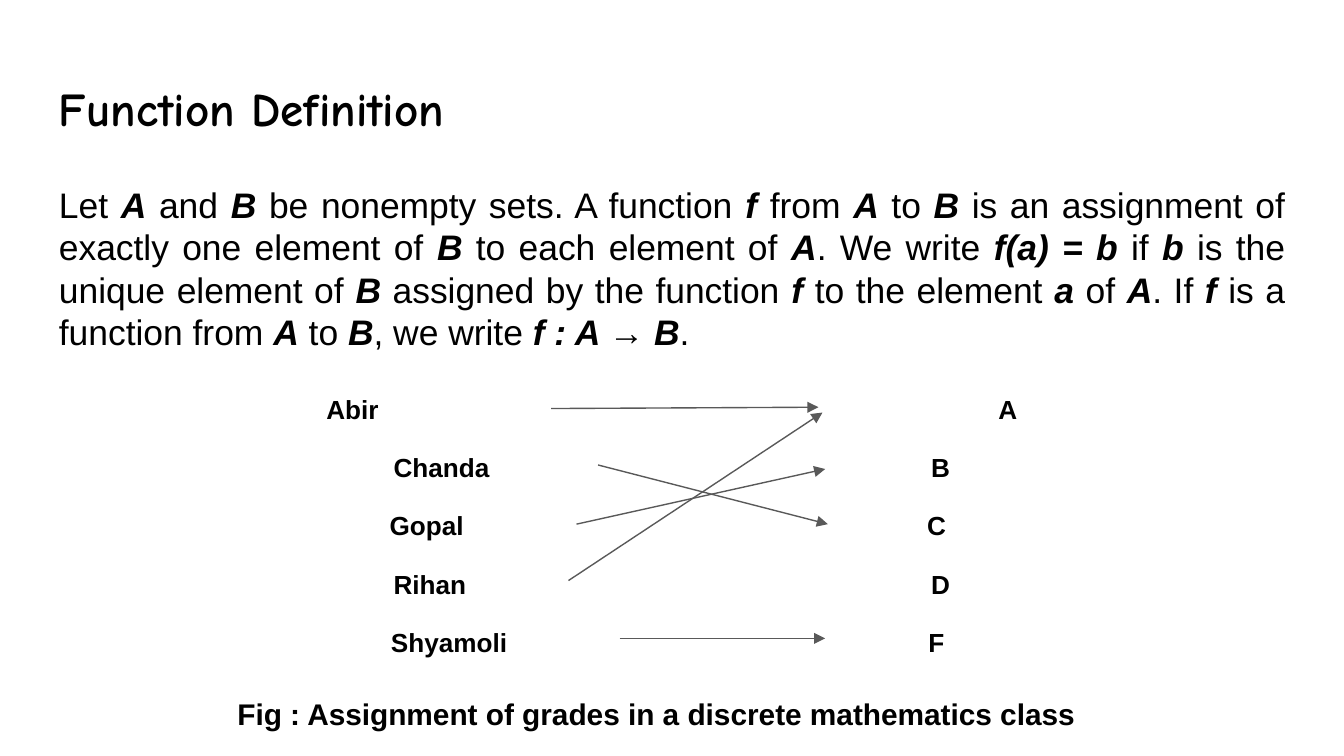
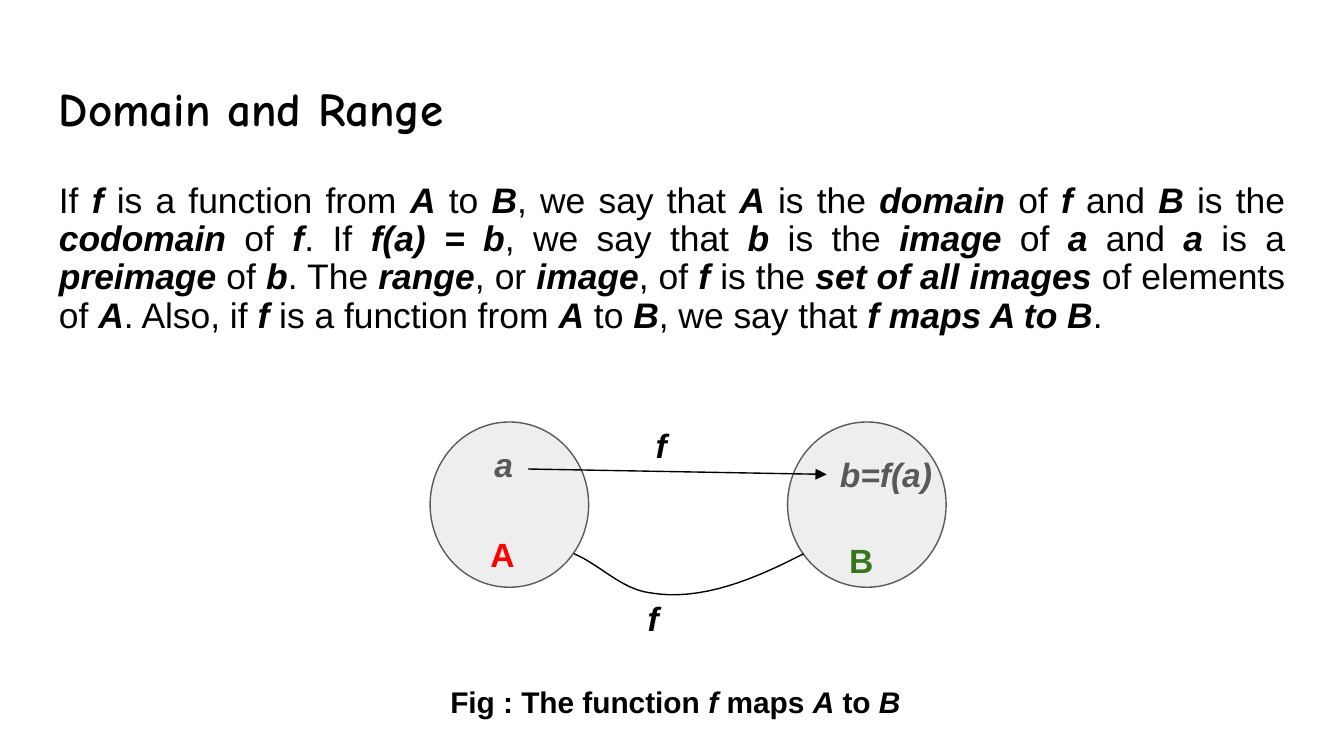
from pptx import Presentation
from pptx.dml.color import RGBColor
from pptx.enum.shapes import MSO_CONNECTOR as CONN, MSO_SHAPE as SHAPE
from pptx.enum.text import PP_ALIGN as ALIGN
from pptx.oxml.ns import qn
from pptx.util import Pt
from lxml.etree import SubElement

PX = 9144
BLACK = RGBColor(0x00, 0x00, 0x00)
GREY = RGBColor(0x59, 0x59, 0x59)
PALE = RGBColor(0xEE, 0xEE, 0xEE)
RED = RGBColor(0xFF, 0x00, 0x00)
GREEN = RGBColor(0x38, 0x76, 0x1D)
BODY_FONT, TITLE_FONT = "Arial", "Comic Neue"
TITLE_BOX = (34, 49, 932, 63)
BODY_BOX = (34, 126, 932, 416)

DEFINITION = (
    "Let *A* and *B* be nonempty sets. A function *f* from *A* to *B* is an assignment of "
    "exactly one element of *B* to each element of *A*. We write *f(a) = b* if *b* is the "
    "unique element of *B* assigned by the function *f *to the element *a* of *A*. If *f* is a "
    "function from *A* to *B*, we write *f : A → B*."
)
DOMAIN = (
    "If *f* is a function from *A* to *B*, we say that *A* is the *domain* of *f* and *B* is the "
    "*codomain* of* f*. If *f(a) = b*, we say that *b* is the *image* of *a* and *a* is a "
    "*preimage* of *b*. The *range*, or *image*, of *f* is the *set of all images* of elements "
    "of *A*. Also, if *f* is a function from *A* to *B*, we say that *f maps A to B*."
)
GRADES = [
    ("Abir", "A", 32, 532),
    ("Chanda", "B", 82, 482),
    ("Gopal", "C", 79, 479),
    ("Rihan", "D", 82, 482),
    ("Shyamoli", "F", 80, 480),
]
GRADE_ARROWS = [
    (209, 25, 408, 24),
    (260, 196, 413, 196),
    (222, 153, 411, 28),
    (244, 67, 415, 111),
    (228, 111, 413, 70),
]


def emu(*lengths):
    """Turn px lengths into EMU."""
    return [n * PX for n in lengths]


def add_run(p, text, size, color=BLACK, bold=False, italic=False, font=BODY_FONT):
    """Append one formatted run."""
    r = p.add_run()
    r.text = text
    f = r.font
    f.name, f.size, f.bold, f.italic = font, Pt(size), bold, italic
    f.color.rgb = color


def add_marked(p, text, size, bold=False):
    """Append runs, with the parts between asterisks in bold italic."""
    for i, part in enumerate(text.split("*")):
        if part:
            marked = i % 2 == 1
            add_run(p, part, size, bold=bold or marked, italic=marked)


def add_box(s, box, wrap=True):
    """Add an empty text box and return its text frame."""
    tf = s.shapes.add_textbox(*emu(*box)).text_frame
    tf.word_wrap = wrap
    tf.margin_left = tf.margin_right = tf.margin_top = tf.margin_bottom = 10 * PX
    return tf


def add_arrow(s, x1, y1, x2, y2, color):
    """Draw a straight arrow."""
    line = s.shapes.add_connector(CONN.STRAIGHT, *emu(x1, y1, x2, y2))
    line.line.color.rgb, line.line.width = color, Pt(0.75)
    SubElement(line.line._get_or_add_ln(), qn("a:tailEnd"), type="triangle")
    SubElement(line._element.spPr, qn("a:effectLst"))


def add_base(prs, title, body, spacing):
    """Start a slide with its title and justified body."""
    s = prs.slides.add_slide(prs.slide_layouts[6])
    add_run(add_box(s, TITLE_BOX).paragraphs[0], title, 25.2, bold=True, font=TITLE_FONT)
    p = add_box(s, BODY_BOX).paragraphs[0]
    p.alignment, p.line_spacing = ALIGN.JUSTIFY, spacing
    add_marked(p, body, 19)
    return s


def add_caption(s, box, text):
    """Add a centred figure caption."""
    p = add_box(s, box).paragraphs[0]
    p.alignment = ALIGN.CENTER
    add_marked(p, text, 16, bold=True)


def add_grades(s, box):
    """Pair each student with a grade on tab stops and draw the arrows."""
    x, y = box[:2]
    tf = add_box(s, box)
    for i, (name, grade, *stops) in enumerate(GRADES):
        p = tf.add_paragraph() if i else tf.paragraphs[0]
        p.line_spacing, p.space_before = 1.15, Pt(12)
        tabs = SubElement(p._p.get_or_add_pPr(), qn("a:tabLst"))
        for stop in stops:
            SubElement(tabs, qn("a:tab"), pos=str(stop * PX), algn="l")
        add_run(p, f"\t{name}\t{grade}", 14, bold=True)
    for x1, y1, x2, y2 in GRADE_ARROWS:
        add_arrow(s, x + x1, y + y1, x + x2, y + y2, GREY)


def bezier(a, b, c, d, steps=16):
    """List the points of a cubic curve after its start."""
    points = []
    for k in range(1, steps + 1):
        t = k / steps
        u = 1 - t
        points.append(tuple(
            u**3 * m + 3 * u * u * t * n + 3 * u * t * t * o + t**3 * q
            for m, n, o, q in zip(a, b, c, d)
        ))
    return points


def add_curve(s, x, y):
    """Draw the open curve that links the two sets."""
    start, low, end = (0, 0), (56, 29), (171, 0)
    points = bezier(start, (19, 8), (35, 26), low) + bezier(low, (95, 36), (136, 18), end)
    builder = s.shapes.build_freeform(x * PX, y * PX, scale=1.0)
    builder.add_line_segments([(round((x + a) * PX), round((y + b) * PX)) for a, b in points], close=False)
    sp = builder.convert_to_shape()
    sp.shadow.inherit = False
    sp.fill.background()
    sp.line.color.rgb, sp.line.width = BLACK, Pt(0.75)


def add_mapping(s, box):
    """Draw sets A and B with the function between them."""
    x, y, w, h = box
    diameter = 118
    for left in (x, x + w - diameter):
        sp = s.shapes.add_shape(SHAPE.OVAL, *emu(left, y, diameter, h))
        sp.shadow.inherit = False
        sp.fill.solid()
        sp.fill.fore_color.rgb = PALE
        sp.line.color.rgb, sp.line.width = GREY, Pt(0.75)
    labels = [
        ("a", 38, 6, 42, GREY, True),
        ("A", 35, 73, 98, RED, False),
        ("b=f(a)", 295, 14, 89, GREY, True),
        ("B", 302, 78, 91, GREEN, False),
        ("f", 158, -8, 49, BLACK, True),
        ("f", 152, 121, 91, BLACK, True),
    ]
    for text, dx, dy, width, color, italic in labels:
        tf = add_box(s, (x + dx, y + dy, width, 50), wrap=text != "b=f(a)")
        add_run(tf.paragraphs[0], text, 18, color, True, italic)
    add_arrow(s, x + 73, y + 35, x + 295, y + 39, BLACK)
    add_curve(s, x + 107, y + 98)


def build_definition(prs):
    """Build the slide that defines a function."""
    s = add_base(prs, "Function Definition", DEFINITION, 1.0)
    add_caption(s, (148, 508, 681, 39), "Fig : Assignment of grades in a discrete mathematics class")
    add_grades(s, (201, 279, 598, 213))


def build_domain(prs):
    """Build the slide on domain and range."""
    s = add_base(prs, "Domain and Range", DOMAIN, 0.9)
    add_mapping(s, (320, 314, 384, 123))
    add_caption(s, (162, 499, 681, 39), "Fig : The function *f* maps *A* to *B*")


def main():
    """Build and save the presentation."""
    prs = Presentation()
    prs.slide_width = 1000 * PX
    prs.slide_height = prs.slide_width * 9 // 16
    build_definition(prs)
    build_domain(prs)
    prs.save("out.pptx")


if __name__ == "__main__":
    main()
